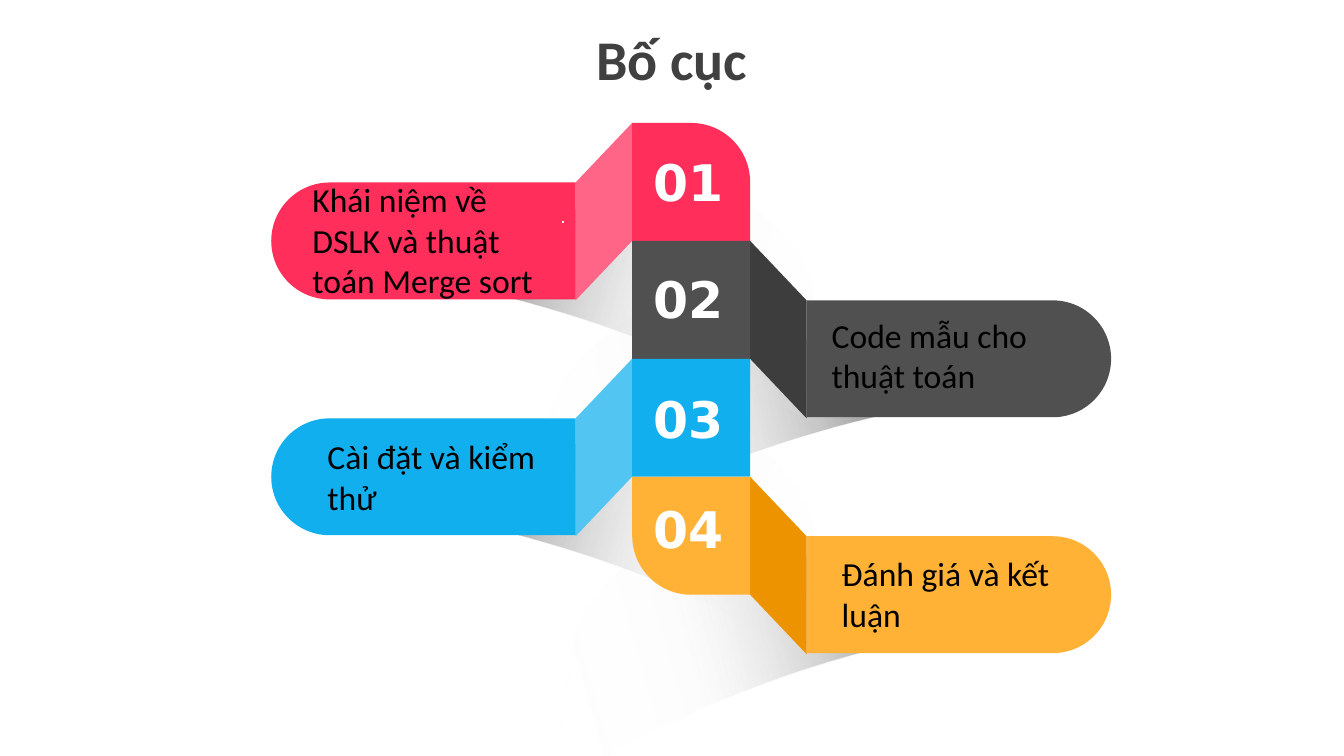
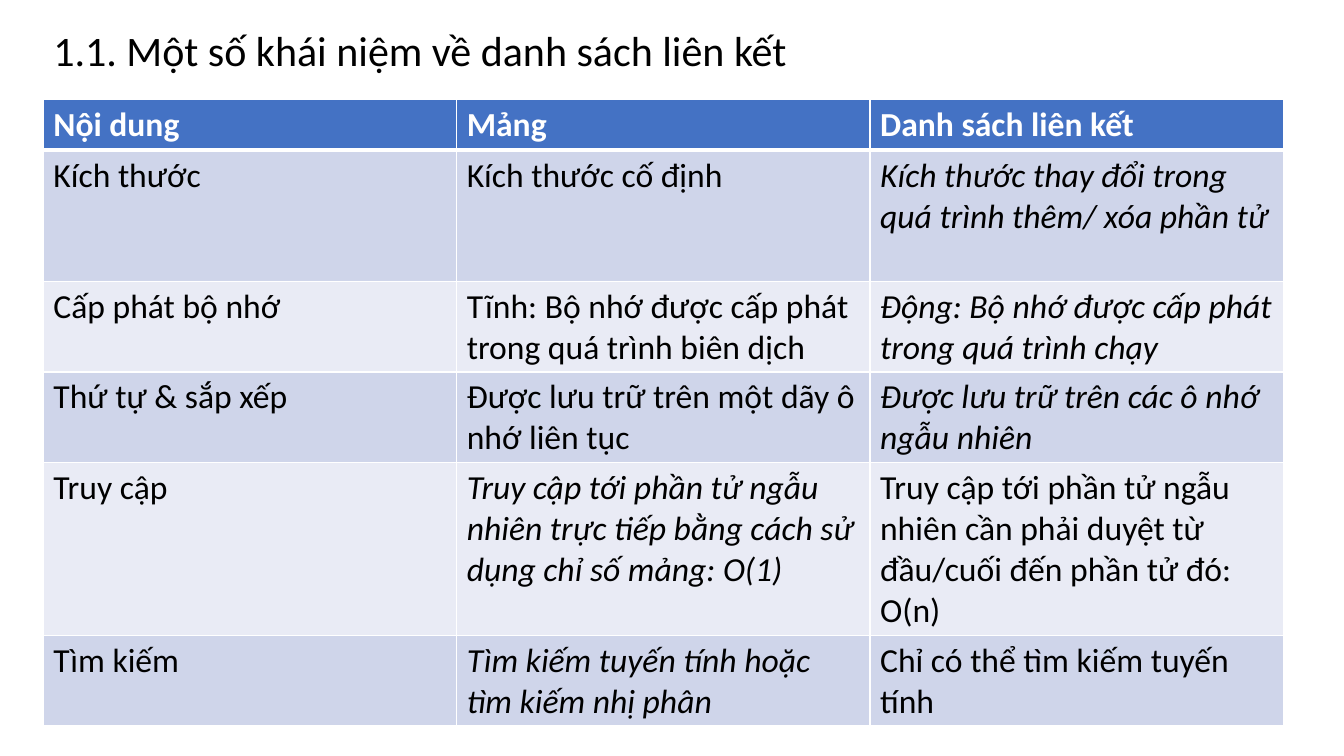
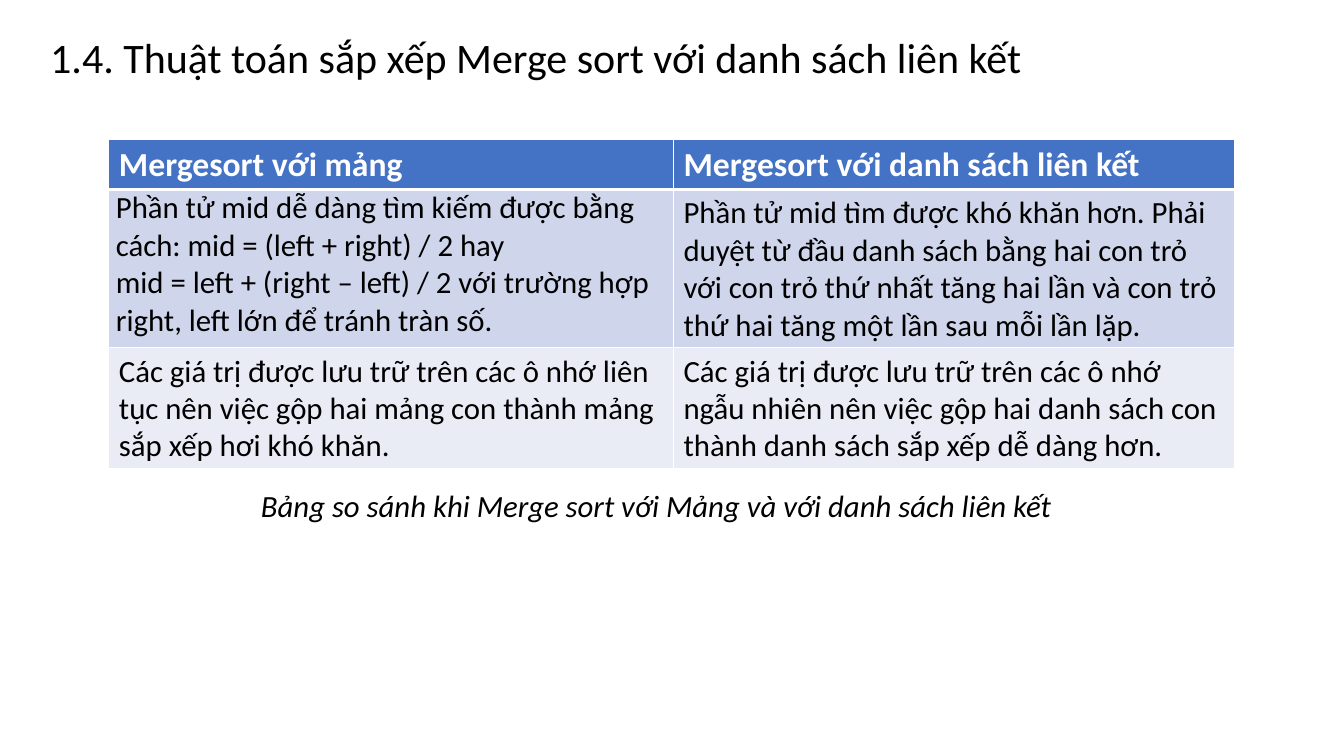
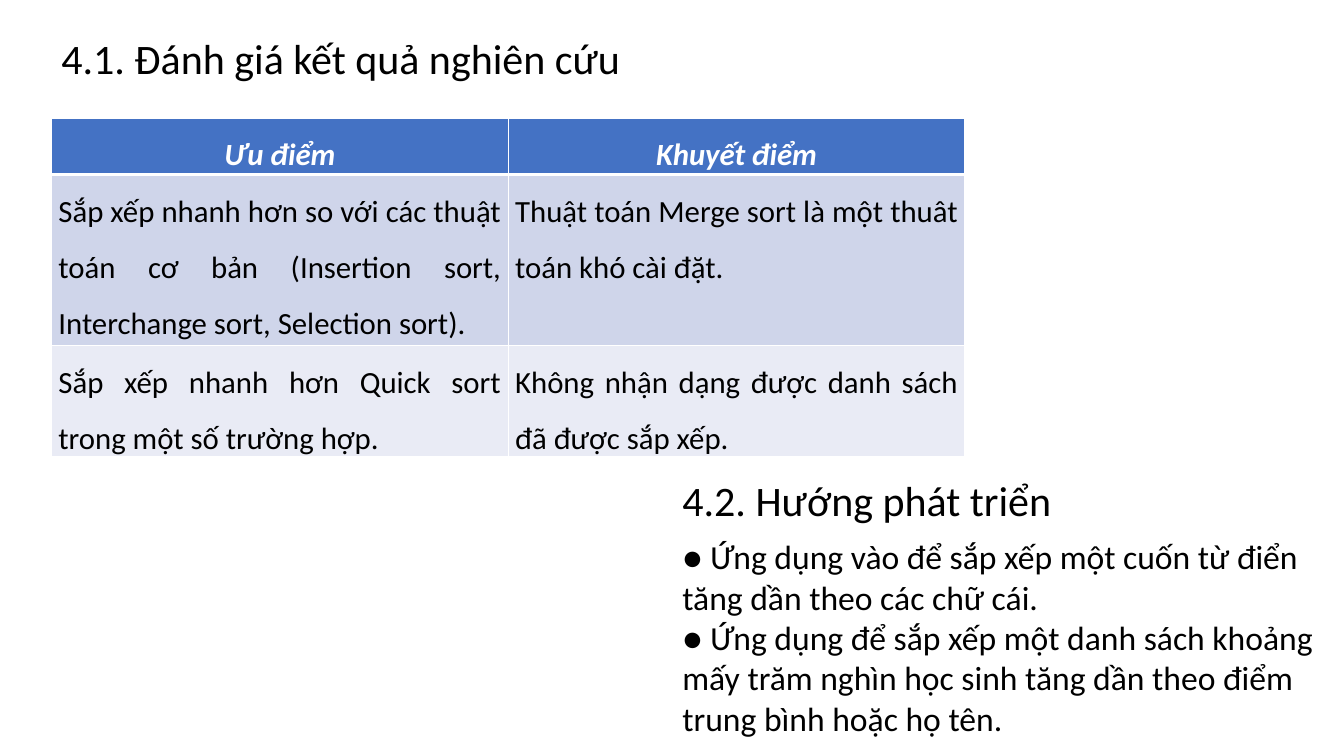
from lxml.etree import SubElement
from pptx import Presentation
from pptx.dml.color import RGBColor
from pptx.enum.shapes import MSO_SHAPE
from pptx.enum.text import MSO_ANCHOR, PP_ALIGN
from pptx.oxml import parse_xml
from pptx.oxml.ns import nsdecls, qn
from pptx.util import Inches, Pt

BLACK = RGBColor(0x00, 0x00, 0x00)
WHITE = RGBColor(0xFF, 0xFF, 0xFF)
TITLE_GRAY = RGBColor(0x40, 0x40, 0x40)
PALE_GRAY = RGBColor(0xF2, 0xF2, 0xF2)
RED, LIGHT_RED = RGBColor(0xFF, 0x2E, 0x5B), RGBColor(0xFF, 0x65, 0x86)
GRAY, DARK_GRAY = RGBColor(0x50, 0x50, 0x50), RGBColor(0x3D, 0x3D, 0x3D)
BLUE, LIGHT_BLUE = RGBColor(0x11, 0xAF, 0xEE), RGBColor(0x53, 0xC5, 0xF3)
ORANGE, DARK_ORANGE = RGBColor(0xFF, 0xB2, 0x36), RGBColor(0xEE, 0x93, 0x00)
HEADER_BLUE = RGBColor(0x44, 0x72, 0xC4)
BAND_COLORS = [RGBColor(0xCF, 0xD5, 0xEA), RGBColor(0xE9, 0xEB, 0xF5)]

LEFT, RIGHT = -1, 1
OUTLINE = [
    {"text": "Khái niệm về DSLK và thuật toán Merge sort", "side": LEFT, "color": RED,
     "fold": LIGHT_RED, "text_box": (3, 1.73, 2.64, 1.31), "number_top": 1.45,
     "shadow_at": (3.77, 1.61)},
    {"text": "Code mẫu cho thuật toán", "side": RIGHT, "color": GRAY,
     "fold": DARK_GRAY, "text_box": (8.15, 3.07, 2.5, 0.91), "number_top": 2.61,
     "shadow_at": (5.08, 2.84)},
    {"text": "Cài đặt và kiểm thử", "side": LEFT, "color": BLUE,
     "fold": LIGHT_BLUE, "text_box": (3.15, 4.28, 2.34, 0.91), "number_top": 3.8,
     "shadow_at": (3.77, 3.94)},
    {"text": "Đánh giá và kết luận", "side": RIGHT, "color": ORANGE,
     "fold": DARK_ORANGE, "text_box": (8.25, 5.44, 2.3, 0.91), "number_top": 4.89,
     "shadow_at": (5.32, 5.08)},
]
SPINE_LEFT, SPINE_TOP, BLOCK = 6.27, 1.22, 1.17
FOLD_WIDTH, FOLD_DROP = 0.56, 0.59
TAB_LENGTH, TAB_HEIGHT = 3.02, 1.16
SHADOW_WIDTH, SHADOW_TILT, SHADOW_ANGLE = 4.68, 5.8, 10
SHADOW_POINTS = [
    (0, 1.34), (1.77, 1.38), (3.52, 1.9), (4.68, 2.53),
    (4.26, 0.98), (4.1, 0.67), (3.8, 0.35), (3, 0),
    (2.09, 0.39), (1.63, 0.64), (0, 1.34),
]
SHADOW_CURVE_STARTS = (0, 4, 7)
SHADOW_STOPS = [(0, "000000", 100), (66, "E9E9E9", 10), (100, "FFFFFF", 0)]

LIST_TABLE = {
    "at": (0.43, 0.99), "columns": [4.1] * 3, "size": 24,
    "heights": [0.5, 1.3, 0.9, 0.9, 1.71, 0.89],
    "italic": {(1, 2), (2, 2), (3, 2), (4, 1), (5, 1)},
    "rows": [
        ("Nội dung", "Mảng", "Danh sách liên kết"),
        ("Kích thước", "Kích thước cố định",
         "Kích thước thay đổi trong quá trình thêm/ xóa phần tử"),
        ("Cấp phát bộ nhớ", "Tĩnh: Bộ nhớ được cấp phát trong quá trình biên dịch",
         "Động: Bộ nhớ được cấp phát trong quá trình chạy"),
        ("Thứ tự & sắp xếp", "Được lưu trữ trên một dãy ô nhớ liên tục",
         "Được lưu trữ trên các ô nhớ ngẫu nhiên"),
        ("Truy cập",
         "Truy cập tới phần tử ngẫu nhiên trực tiếp bằng cách sử dụng chỉ số mảng: O(1)",
         "Truy cập tới phần tử ngẫu nhiên cần phải duyệt từ đầu/cuối đến phần tử đó: O(n)"),
        ("Tìm kiếm", "Tìm kiếm tuyến tính hoặc tìm kiếm nhị phân",
         "Chỉ có thể tìm kiếm tuyến tính"),
    ],
}
MERGE_TABLE = {
    "at": (1.08, 1.38), "columns": [5.6, 5.57], "size": 22, "header_size": 24,
    "heights": [0.5, 1.57, 1.2], "compact": {(1, 0)},
    "rows": [
        ("Mergesort với mảng", "Mergesort với danh sách liên kết"),
        ("Phần tử mid dễ dàng tìm kiếm được bằng cách: mid = (left + right) / 2 hay\n"
         "mid = left + (right – left) / 2 với trường hợp right, left lớn để tránh tràn số.",
         "Phần tử mid tìm được khó khăn hơn. Phải duyệt từ đầu danh sách bằng hai con trỏ "
         "với con trỏ thứ nhất tăng hai lần và con trỏ thứ hai tăng một lần sau mỗi lần lặp."),
        ("Các giá trị được lưu trữ trên các ô nhớ liên tục nên việc gộp hai mảng con "
         "thành mảng sắp xếp hơi khó khăn.",
         "Các giá trị được lưu trữ trên các ô nhớ ngẫu nhiên nên việc gộp hai danh sách con "
         "thành danh sách sắp xếp dễ dàng hơn."),
    ],
}
REVIEW_TABLE = {
    "at": (0.51, 1.17), "columns": [4.53] * 2, "size": 22,
    "heights": [0.56, 1.7, 1.1], "italic": {(0, 0), (0, 1)}, "spaced": True,
    "compact": {(row, column) for row in range(3) for column in range(2)},
    "rows": [
        ("Ưu điểm", "Khuyết điểm"),
        ("Sắp xếp nhanh hơn so với các thuật toán cơ bản "
         "(Insertion sort, Interchange sort, Selection sort).",
         "Thuật toán Merge sort là một thuât toán khó cài đặt."),
        ("Sắp xếp nhanh hơn Quick sort trong một số trường hợp.",
         "Không nhận dạng được danh sách đã được sắp xếp."),
    ],
}
TABLE_SLIDES = [
    {"headings": [("1.1. Một số khái niệm về danh sách liên kết", (0.43, 0.19, 7.51, 0.61))],
     "table": LIST_TABLE, "notes": []},
    {"headings": [("1.4. Thuật toán sắp xếp Merge sort với danh sách liên kết",
                   (0.4, 0.26, 9.86, 0.61))],
     "table": MERGE_TABLE,
     "notes": [("Bảng so sánh khi Merge sort với Mảng và với danh sách liên kết",
                (2.49, 4.78, 8.36, 0.47), {"size": 22, "italic": True})]},
    {"headings": [("4.1. Đánh giá kết quả nghiên cứu", (0.51, 0.27, 5.85, 0.61)),
                  ("4.2. Hướng phát triển", (6.67, 4.66, 3.93, 0.61))],
     "table": REVIEW_TABLE,
     "notes": [("● Ứng dụng vào để sắp xếp một cuốn từ điển tăng dần theo các chữ cái.\n"
                "● Ứng dụng để sắp xếp một danh sách khoảng mấy trăm nghìn học sinh "
                "tăng dần theo điểm trung bình hoặc họ tên.",
                (6.67, 5.27, 6.67, 2.12), {"size": 24})]},
]


def style_text(frame, text, size, color=BLACK, name="Calibri", bold=False,
               italic=False, align=PP_ALIGN.LEFT):
    frame.text = text
    for paragraph in frame.paragraphs:
        paragraph.alignment = align
        font = paragraph.font
        font.size, font.name, font.bold, font.italic = Pt(size), name, bold, italic
        font.color.rgb = color


def add_text(slide, text, box, size, wrap=True, **style):
    shape = slide.shapes.add_textbox(*map(Inches, box))
    shape.text_frame.word_wrap = wrap
    style_text(shape.text_frame, text, size, **style)


def paint(shape, color):
    shape.shadow.inherit = False
    shape.fill.solid()
    shape.fill.fore_color.rgb = color
    shape.line.fill.background()


def add_block(slide, kind, box, color, rotation=0, adjustments=()):
    shape = slide.shapes.add_shape(kind, *map(Inches, box))
    for index, value in enumerate(adjustments):
        shape.adjustments[index] = value
    shape.rotation = rotation
    paint(shape, color)


def add_outline(slide, points, color):
    corners = [(Inches(x), Inches(y)) for x, y in points]
    builder = slide.shapes.build_freeform(*corners[0])
    builder.add_line_segments(corners[1:], close=True)
    shape = builder.convert_to_shape()
    paint(shape, color)
    return shape


def bend_segments(shape, starts):
    segments = list(shape._element.iter(qn("a:lnTo")))
    for start in starts:
        first, *others = segments[start:start + 3]
        first.tag = qn("a:cubicBezTo")
        for segment in others:
            first.append(segment[0])
            segment.getparent().remove(segment)


def add_shadow(slide, at, side):
    left, top = at
    points = [(left + (x if side == LEFT else SHADOW_WIDTH - x), top + y)
              for x, y in SHADOW_POINTS]
    shape = add_outline(slide, points, BLACK)
    bend_segments(shape, SHADOW_CURVE_STARTS)
    shape.rotation = -side * SHADOW_TILT % 360
    stops = "".join(
        f'<a:gs pos="{position * 1000}"><a:srgbClr val="{color}">'
        f'<a:alpha val="{alpha * 1000}"/></a:srgbClr></a:gs>'
        for position, color, alpha in SHADOW_STOPS)
    angle = SHADOW_ANGLE if side == LEFT else 180 - SHADOW_ANGLE
    gradient = parse_xml(
        f'<a:gradFill {nsdecls("a")} rotWithShape="1"><a:gsLst>{stops}</a:gsLst>'
        f'<a:lin ang="{angle * 60000}" scaled="0"/></a:gradFill>')
    properties = shape._element.spPr
    properties.replace(properties.find(qn("a:solidFill")), gradient)


def add_branch(slide, item, top):
    side = item["side"]
    inner = SPINE_LEFT if side == LEFT else SPINE_LEFT + BLOCK
    outer = inner + side * FOLD_WIDTH
    add_outline(slide, [(inner, top), (outer, top + FOLD_DROP),
                        (outer, top + FOLD_DROP + BLOCK), (inner, top + BLOCK)], item["fold"])
    center_x = outer + side * TAB_LENGTH / 2
    center_y = top + FOLD_DROP + TAB_HEIGHT / 2
    add_block(slide, MSO_SHAPE.ROUND_2_SAME_RECTANGLE,
              (center_x - TAB_HEIGHT / 2, center_y - TAB_LENGTH / 2, TAB_HEIGHT, TAB_LENGTH),
              item["color"], side * 90 % 360, (0.5, 0))


def add_outline_slide(slide):
    for item in reversed(OUTLINE):
        add_shadow(slide, item["shadow_at"], item["side"])
    add_text(slide, "Bố cục", (5.81, 0.19, 1.71, 0.77), 40, wrap=False,
             color=TITLE_GRAY, bold=True, align=PP_ALIGN.CENTER)
    tops = [SPINE_TOP + BLOCK * index for index in range(len(OUTLINE))]
    for item, top in zip(OUTLINE, tops):
        add_branch(slide, item, top)
    rounded = {0: 0, len(OUTLINE) - 1: 180}
    for index, (item, top) in enumerate(zip(OUTLINE, tops)):
        box = (SPINE_LEFT, top, BLOCK, BLOCK)
        if index in rounded:
            add_block(slide, MSO_SHAPE.ROUND_1_RECTANGLE, box, item["color"],
                      rounded[index], (0.5,))
        else:
            add_block(slide, MSO_SHAPE.RECTANGLE, box, item["color"])
        add_text(slide, f"{index + 1:02}", (6.38, item["number_top"], 0.92, 0.71), 36,
                 wrap=False, color=WHITE, name="DejaVu Sans", bold=True)
        add_text(slide, item["text"], item["text_box"], 24)
    add_text(slide, ".", (2.79, 1.97, 2.92, 0.34), 14, color=PALE_GRAY, name="Arial",
             align=PP_ALIGN.RIGHT)


def set_borders(cell, row):
    properties = cell._tc.get_or_add_tcPr()
    widths = {"L": 1, "R": 1, "T": 3 if row == 1 else 1, "B": 3 if row == 0 else 1}
    for edge, width in widths.items():
        line = SubElement(properties, qn(f"a:ln{edge}"), w=str(Pt(width)))
        fill = SubElement(line, qn("a:solidFill"))
        SubElement(fill, qn("a:srgbClr"), val=str(WHITE))


def add_grid(slide, content):
    rows, columns, heights = content["rows"], content["columns"], content["heights"]
    box = (*content["at"], sum(columns), sum(heights))
    table = slide.shapes.add_table(len(rows), len(columns), *map(Inches, box)).table
    for column, width in zip(table.columns, columns):
        column.width = Inches(width)
    for row, height in zip(table.rows, heights):
        row.height = Inches(height)
    spaced = content.get("spaced", False)
    for row, texts in enumerate(rows):
        header = row == 0
        size = content.get("header_size", content["size"]) if header else content["size"]
        align = PP_ALIGN.LEFT
        if spaced:
            align = PP_ALIGN.CENTER if header else PP_ALIGN.JUSTIFY
        for column, text in enumerate(texts):
            cell = table.cell(row, column)
            set_borders(cell, row)
            cell.fill.solid()
            cell.fill.fore_color.rgb = HEADER_BLUE if header else BAND_COLORS[(row - 1) % 2]
            cell.vertical_anchor = MSO_ANCHOR.TOP
            if (row, column) in content.get("compact", ()):
                cell.margin_left = cell.margin_right = Inches(0.07)
                cell.margin_top = cell.margin_bottom = 0
            style_text(cell.text_frame, text, size, color=WHITE if header else BLACK,
                       bold=header, italic=(row, column) in content.get("italic", ()),
                       align=align)
            if spaced:
                for paragraph in cell.text_frame.paragraphs:
                    paragraph.line_spacing = 1.5
                    paragraph.space_before = paragraph.space_after = Pt(2)


presentation = Presentation()
presentation.slide_width, presentation.slide_height = Inches(13.33), Inches(7.5)
blank = presentation.slide_layouts[6]
add_outline_slide(presentation.slides.add_slide(blank))
for content in TABLE_SLIDES:
    slide = presentation.slides.add_slide(blank)
    for text, box in content["headings"]:
        add_text(slide, text, box, 30)
    add_grid(slide, content["table"])
    for text, box, style in content["notes"]:
        add_text(slide, text, box, **style)
presentation.save("out.pptx")
